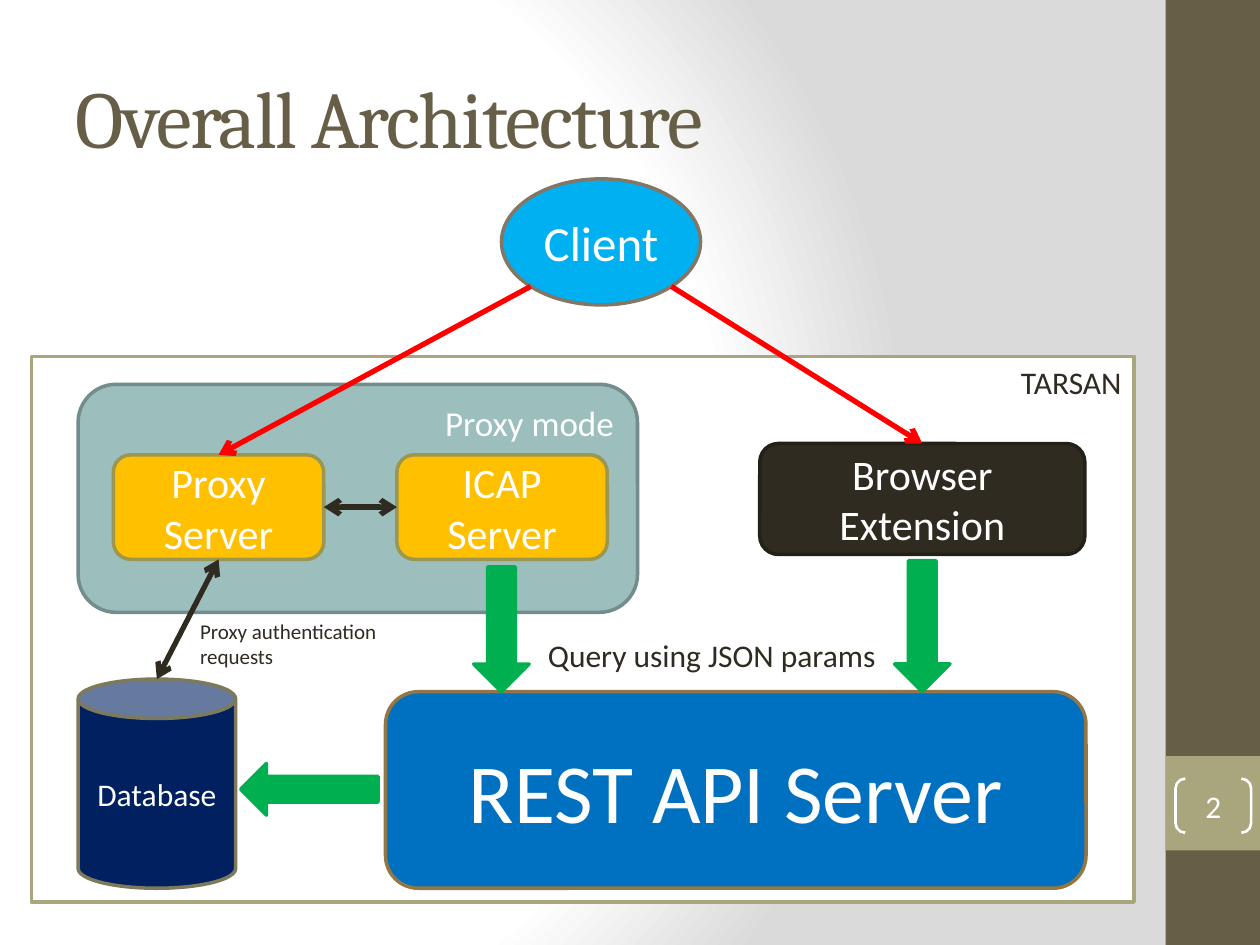
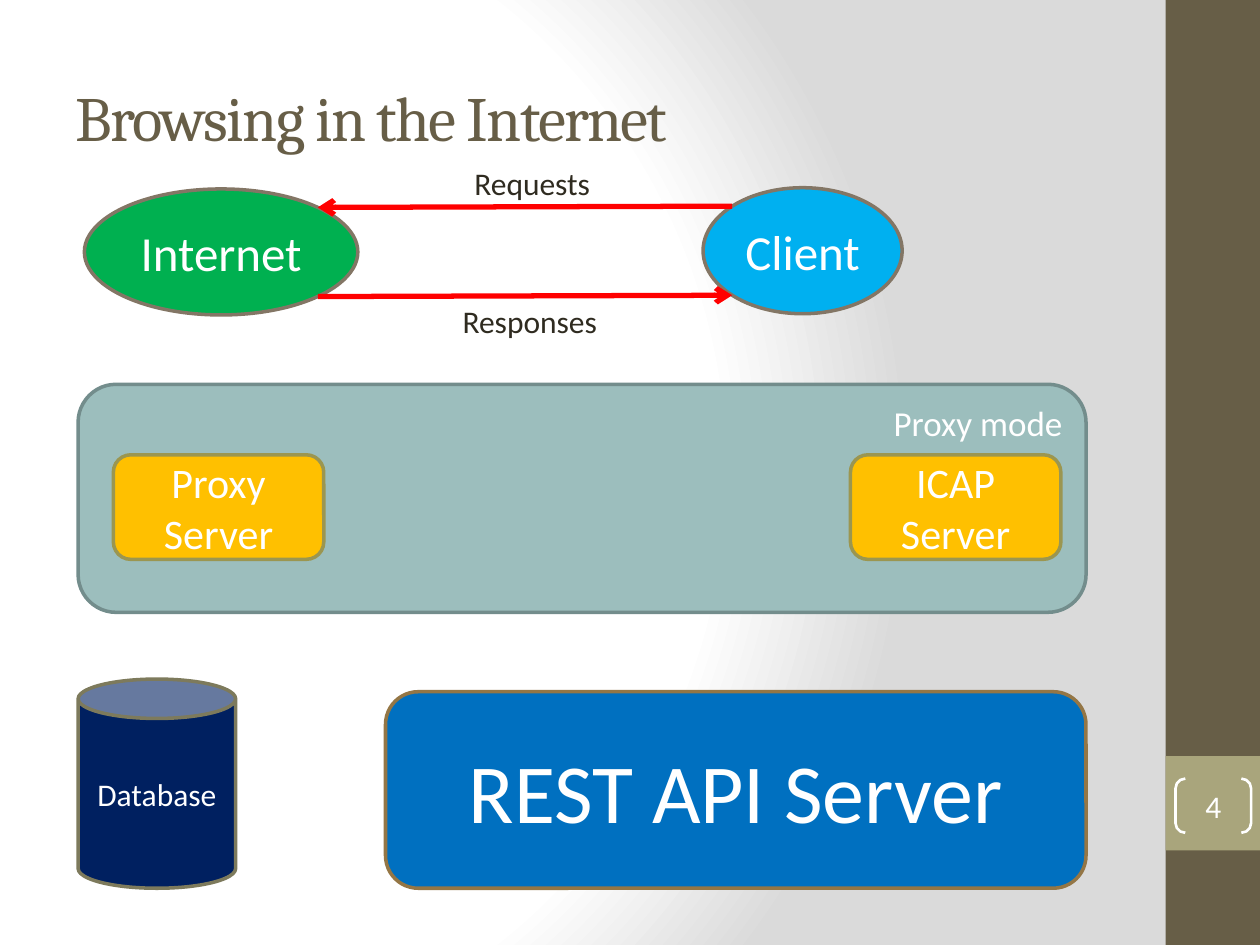
from dataclasses import dataclass
from math import cos, radians, sin
from typing import NamedTuple, Optional

from pptx import Presentation
from pptx.dml.color import RGBColor
from pptx.enum.shapes import MSO_CONNECTOR, MSO_SHAPE
from pptx.enum.text import MSO_ANCHOR, MSO_AUTO_SIZE, PP_ALIGN
from pptx.oxml import parse_xml
from pptx.oxml.ns import nsdecls, qn
from pptx.util import Emu, Pt

PX = 9144
PAGE_WIDTH, PAGE_HEIGHT = 1000, 750


@dataclass(frozen=True)
class Theme:
    heading_font: str = "Cambria"
    body_font: str = "Calibri"
    white: str = "FFFFFF"
    backdrop: str = "DADADA"
    ink: str = "2F2B20"
    brown: str = "675E47"
    olive: str = "A9A57C"
    teal: str = "9CBEBD"
    teal_edge: str = "738D8C"
    amber: str = "FFC000"
    amber_edge: str = "9B9650"
    sky: str = "00B0F0"
    green: str = "00B050"
    oval_edge: str = "837665"
    blue: str = "0070C0"
    blue_edge: str = "947645"
    navy: str = "002060"
    navy_edge: str = "7D7A5C"
    ink_edge: str = "232018"
    red: str = "FF0000"
    note_size: int = 12
    label_size: int = 18
    mode_size: int = 20
    server_size: int = 24
    oval_size: int = 28
    rest_size: int = 48
    outline: float = 2
    bracket_line: float = 1.5
    link_line: float = 3


THEME = Theme()


class Style(NamedTuple):
    shape: MSO_SHAPE
    fill: Optional[str]
    line: Optional[str]
    size: int = THEME.label_size
    color: str = THEME.white
    align: PP_ALIGN = PP_ALIGN.CENTER
    anchor: MSO_ANCHOR = MSO_ANCHOR.MIDDLE


class End(NamedTuple):
    node: str
    site: Optional[int] = None
    angle: int = 0


TOP, LEFT, BOTTOM, RIGHT = range(4)
ROUND = MSO_SHAPE.ROUNDED_RECTANGLE

STYLES = {
    "band": Style(MSO_SHAPE.RECTANGLE, THEME.brown, None),
    "number band": Style(MSO_SHAPE.RECTANGLE, THEME.olive, None),
    "page number": Style(MSO_SHAPE.DOUBLE_BRACKET, None, THEME.white),
    "frame": Style(MSO_SHAPE.RECTANGLE, THEME.white, THEME.olive, THEME.label_size,
                   THEME.ink, PP_ALIGN.RIGHT, MSO_ANCHOR.TOP),
    "mode": Style(ROUND, THEME.teal, THEME.teal_edge, THEME.mode_size,
                  THEME.white, PP_ALIGN.RIGHT, MSO_ANCHOR.TOP),
    "server": Style(ROUND, THEME.amber, THEME.amber_edge, THEME.server_size),
    "extension": Style(ROUND, THEME.ink, THEME.ink_edge, THEME.server_size),
    "rest": Style(ROUND, THEME.blue, THEME.blue_edge, THEME.rest_size),
    "client": Style(MSO_SHAPE.OVAL, THEME.sky, THEME.oval_edge, THEME.oval_size),
    "internet": Style(MSO_SHAPE.OVAL, THEME.green, THEME.oval_edge, THEME.oval_size),
    "database": Style(MSO_SHAPE.CAN, THEME.navy, THEME.navy_edge),
    "down": Style(MSO_SHAPE.DOWN_ARROW, THEME.green, THEME.green),
    "left": Style(MSO_SHAPE.LEFT_ARROW, THEME.green, THEME.green),
}

BANDS = [
    ("band", "", (925, 0, 75, PAGE_HEIGHT)),
    ("number band", "", (925, 600, 75, 75)),
]
TITLE_BOX = (50, 30, 833, 125)
NUMBER_BOX = (933, 618, 60, 43)
SHARED_NODES = [
    ("rest", "REST API Server", (306, 549, 556, 156)),
    ("database", "Database", (62, 539, 125, 166)),
]


def proxy_nodes(mode_width, icap_left):
    return [
        ("mode", "Proxy mode", (62, 305, mode_width, 181)),
        ("server", "Proxy Server", (90, 361, 167, 83)),
        ("server", "ICAP Server", (icap_left, 361, 167, 83)),
    ]


SLIDES = [
    {
        "title": "Overall Architecture",
        "title_size": 46,
        "number": "2",
        "nodes": [
            ("frame", "TARSAN", (25, 283, 875, 433)),
            *SHARED_NODES,
            ("extension", "Browser Extension", (603, 352, 258, 88)),
            *proxy_nodes(444, 315),
            ("client", "Client", (398, 142, 158, 100)),
            ("down", "", (376, 450, 44, 99)),
            ("down", "", (710, 445, 44, 104)),
            ("left", "", (191, 606, 109, 41)),
        ],
        "links": [
            (End("Proxy Server", RIGHT), End("ICAP Server", LEFT), THEME.ink, True),
            (End("Client", angle=45), End("Browser Extension", TOP), THEME.red, False),
            (End("Client", angle=135), End("Proxy Server", TOP), THEME.red, False),
            (End("Database", angle=-90), End("Proxy Server", BOTTOM), THEME.ink, True),
        ],
        "labels": [
            ("Query using JSON params", (425, 500, 283, 40), THEME.label_size,
             PP_ALIGN.LEFT, False),
            ("Proxy authentication requests", (149, 486, 183, 50), THEME.note_size,
             PP_ALIGN.LEFT, True),
        ],
    },
    {
        "title": "Browsing in the Internet",
        "title_size": 36,
        "number": "4",
        "nodes": [
            *proxy_nodes(800, 675),
            ("client", "Client", (558, 149, 158, 100)),
            ("internet", "Internet", (67, 150, 217, 100)),
            *SHARED_NODES,
        ],
        "links": [
            (End("Client", angle=-135), End("Internet", angle=-45), THEME.red, False),
            (End("Internet", angle=45), End("Client", angle=135), THEME.red, False),
        ],
        "labels": [
            ("Requests", (286, 125, 273, 40), THEME.label_size, PP_ALIGN.CENTER, True),
            ("Responses", (283, 235, 275, 40), THEME.label_size, PP_ALIGN.CENTER, True),
        ],
    },
]


def emu(lengths):
    return [Emu(round(length * PX)) for length in lengths]


def write(frame, text, size, color, align, font=THEME.body_font):
    frame.text = text
    para = frame.paragraphs[0]
    para.alignment = align
    for span in para.runs:
        span.font.name = font
        span.font.size = Pt(size)
        span.font.color.rgb = RGBColor.from_string(color)


def add_node(page, kind, text, box):
    style = STYLES[kind]
    shape = page.shapes.add_shape(style.shape, *emu(box))
    shape.shadow.inherit = False
    if style.fill:
        shape.fill.solid()
        shape.fill.fore_color.rgb = RGBColor.from_string(style.fill)
    else:
        shape.fill.background()
    if style.line:
        shape.line.color.rgb = RGBColor.from_string(style.line)
        shape.line.width = Pt(THEME.outline)
    else:
        shape.line.fill.background()
    if text:
        frame = shape.text_frame
        frame.word_wrap = True
        frame.vertical_anchor = style.anchor
        write(frame, text, style.size, style.color, style.align)
    return shape


def add_label(page, text, box, size, align, wrap):
    frame = page.shapes.add_textbox(*emu(box)).text_frame
    frame.word_wrap = wrap
    write(frame, text, size, THEME.ink, align)


def edge_point(shape, angle):
    turn = radians(angle)
    return (Emu(round(shape.left + shape.width / 2 * (1 + cos(turn)))),
            Emu(round(shape.top + shape.height / 2 * (1 + sin(turn)))))


def add_link(page, shapes, start, end, color, both_ways):
    first, last = shapes[start.node], shapes[end.node]
    link = page.shapes.add_connector(
        MSO_CONNECTOR.STRAIGHT,
        *edge_point(first, start.angle), *edge_point(last, end.angle))
    if start.site is not None:
        link.begin_connect(first, start.site)
    if end.site is not None:
        link.end_connect(last, end.site)
    link.line.color.rgb = RGBColor.from_string(color)
    link.line.width = Pt(THEME.link_line)
    properties = link.element.spPr
    outline = properties.find(qn("a:ln"))
    for tag in ["headEnd", "tailEnd"] if both_ways else ["tailEnd"]:
        outline.append(parse_xml(f'<a:{tag} {nsdecls("a")} type="arrow"/>'))
    properties.append(parse_xml(f'<a:effectLst {nsdecls("a")}/>'))


def set_title(page, text, size):
    title = page.shapes.title
    title.left, title.top, title.width, title.height = emu(TITLE_BOX)
    frame = title.text_frame
    frame.auto_size = MSO_AUTO_SIZE.NONE
    frame.vertical_anchor = MSO_ANCHOR.MIDDLE
    write(frame, text, size, THEME.brown, PP_ALIGN.LEFT, THEME.heading_font)
    for properties in title.element.iter(qn("a:rPr")):
        properties.set("spc", "-100")


def add_number(page, number):
    bracket = add_node(page, "page number", number, NUMBER_BOX)
    bracket.adjustments[0] = 0.18
    bracket.line.width = Pt(THEME.bracket_line)
    frame = bracket.text_frame
    frame.margin_left = frame.margin_top = frame.margin_right = frame.margin_bottom = 0


def set_background(master):
    master.background.fill.solid()
    properties = master.element.find(".//" + qn("p:bgPr"))
    stops = "".join(
        f'<a:gs pos="{place * 1000}"><a:srgbClr val="{color}"/></a:gs>'
        for place, color in [(0, THEME.white), (75, THEME.white), (100, THEME.backdrop)])
    properties.replace(properties[0], parse_xml(
        f'<a:gradFill {nsdecls("a")} rotWithShape="1"><a:gsLst>{stops}</a:gsLst>'
        '<a:path path="circle"><a:fillToRect l="20000" t="50000" r="100000" b="50000"/>'
        '</a:path></a:gradFill>'))


def move_bands_to_layout(page, layout):
    for band in BANDS:
        layout.shapes.element.append(add_node(page, *band).element)


def build_slide(page, content):
    set_title(page, content["title"], content["title_size"])
    add_number(page, content["number"])
    shapes = {}
    for kind, text, box in content["nodes"]:
        shapes[text] = add_node(page, kind, text, box)
    for link in content["links"]:
        add_link(page, shapes, *link)
    for label in content["labels"]:
        add_label(page, *label)


def main():
    deck = Presentation()
    deck.slide_width, deck.slide_height = emu((PAGE_WIDTH, PAGE_HEIGHT))
    set_background(deck.slide_master)
    layout = deck.slide_layouts[5]
    pages = [deck.slides.add_slide(layout) for content in SLIDES]
    move_bands_to_layout(pages[0], layout)
    for page, content in zip(pages, SLIDES):
        build_slide(page, content)
    deck.save("out.pptx")


if __name__ == "__main__":
    main()
